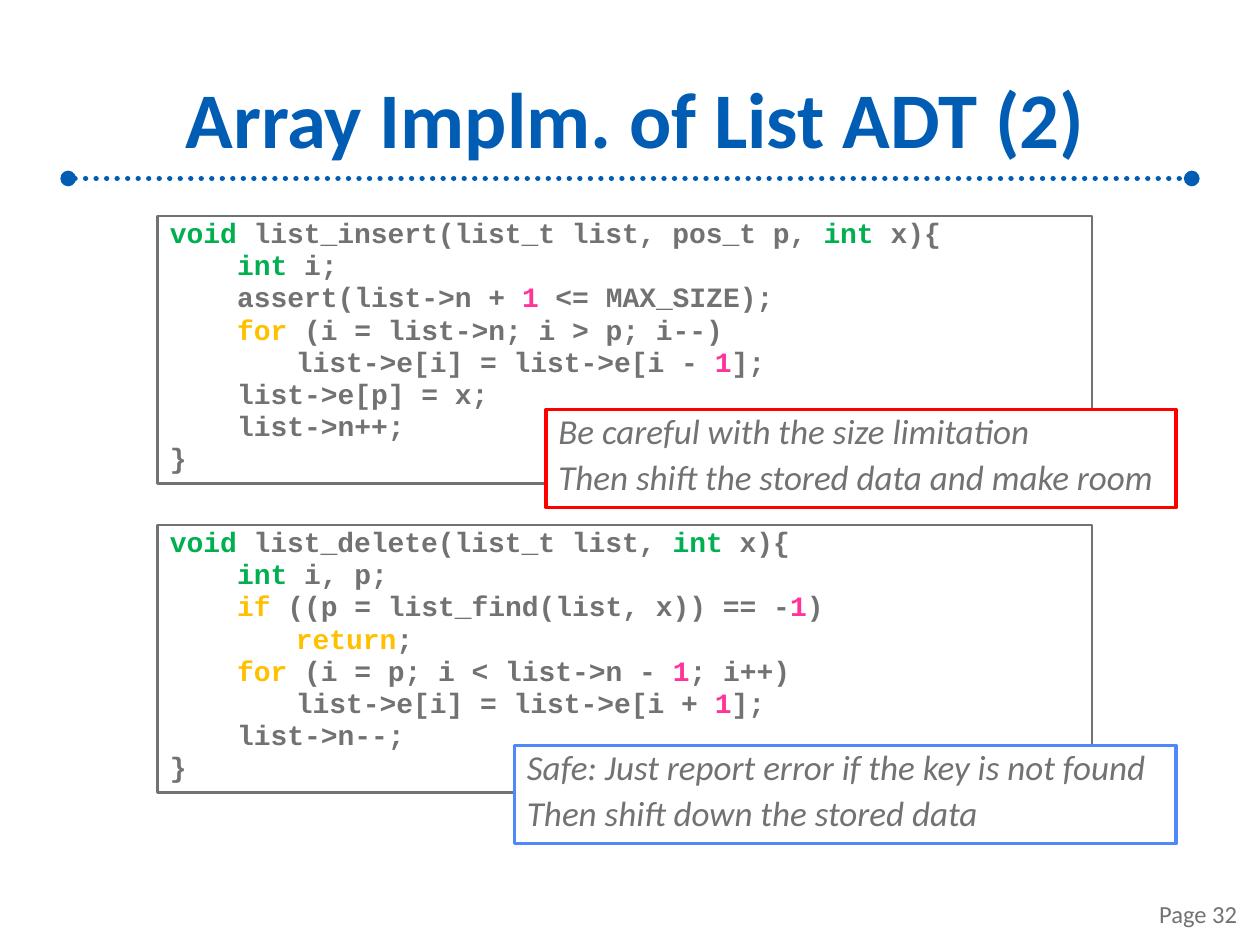
"""Builds a slide on inserting into and deleting from an array-based list."""
from lxml import etree
from pptx import Presentation
from pptx.dml.color import RGBColor
from pptx.enum.dml import MSO_LINE
from pptx.enum.shapes import MSO_CONNECTOR, MSO_SHAPE
from pptx.enum.text import MSO_ANCHOR, PP_ALIGN
from pptx.oxml.ns import qn
from pptx.util import Pt

RECT = MSO_SHAPE.RECTANGLE
STRAIGHT = MSO_CONNECTOR.STRAIGHT
DOTTED = MSO_LINE.ROUND_DOT
TOP, MIDDLE, BOTTOM = MSO_ANCHOR.TOP, MSO_ANCHOR.MIDDLE, MSO_ANCHOR.BOTTOM
LEFT, CENTER, RIGHT = PP_ALIGN.LEFT, PP_ALIGN.CENTER, PP_ALIGN.RIGHT

BLUE = RGBColor(0x00, 0x5D, 0xB3)
GRAY = RGBColor(0x72, 0x72, 0x72)
GREEN = RGBColor(0x00, 0xB0, 0x50)
AMBER = RGBColor(0xFF, 0xC0, 0x00)
PINK = RGBColor(0xFF, 0x33, 0x99)
RED = RGBColor(0xFF, 0x00, 0x00)
LIGHT_BLUE = RGBColor(0x51, 0x88, 0xF9)
WHITE = RGBColor(0xFF, 0xFF, 0xFF)

TITLE = "Array Implm. of List ADT (2)"
PAGE = "Page 32"
TOKEN_COLORS = {"void": GREEN, "int": GREEN, "for": AMBER, "if": AMBER,
                "return": AMBER, "1": PINK}
INDENTS = (0, 38.4, 72)
INSERT_CODE = [
    (0, "|void| list_insert(list_t list, pos_t p, |int| x){"),
    (1, "|int| i;"),
    (1, "assert(list->n + |1| <= MAX_SIZE);"),
    (1, "|for| (i = list->n; i > p; i--)"),
    (2, "list->e[i] = list->e[i - |1|];"),
    (1, "list->e[p] = x;"),
    (1, "list->n++;"),
    (0, "}"),
]
DELETE_CODE = [
    (0, "|void| list_delete(list_t list, |int| x){"),
    (1, "|int| i, p;"),
    (1, "|if| ((p = list_find(list, x)) == -|1|)"),
    (2, "|return|;"),
    (1, "|for| (i = p; i < list->n - |1|; i++)"),
    (2, "list->e[i] = list->e[i + |1|];"),
    (1, "list->n--;"),
    (0, "}"),
]
INSERT_NOTE = ["Be careful with the size limitation",
               "Then shift the stored data and make room"]
DELETE_NOTE = ["Safe: Just report error if the key is not found",
               "Then shift down the stored data"]
CODE_LEFT, CODE_W, CODE_H = 90, 534, 153
NOTE_RIGHT, NOTE_H = 672, 56
BLOCKS = [
    (INSERT_CODE, 123.4, INSERT_NOTE, 312, 234, RED),
    (DELETE_CODE, 300, DELETE_NOTE, 294, 426, LIGHT_BLUE),
]


def style(r, font, size, color, bold=False, italic=False):
    r.font.name, r.font.size = font, Pt(size)
    r.font.bold, r.font.italic = bold, italic
    r.font.color.rgb = color


def add_label(slide, text, box, align, anchor, size, color, bold=False):
    tf = slide.shapes.add_textbox(*map(Pt, box)).text_frame
    tf.word_wrap = True
    tf.vertical_anchor = anchor
    p = tf.paragraphs[0]
    p.text = text
    p.alignment = align
    style(p.runs[0], "Calibri", size, color, bold)


def add_rule(slide, x1, x2, y):
    line = slide.shapes.add_connector(STRAIGHT, Pt(x1), Pt(y), Pt(x2), Pt(y))
    line.line.color.rgb = BLUE
    line.line.width = Pt(3)
    line.line.dash_style = DOTTED
    ln = line.line._get_or_add_ln()
    ln.set("cap", "rnd")
    for end in ("a:headEnd", "a:tailEnd"):
        etree.SubElement(ln, qn(end), type="oval")
    etree.SubElement(line._element.spPr, qn("a:effectLst"))


def add_box(slide, box, line_color, width):
    sp = slide.shapes.add_shape(RECT, *map(Pt, box))
    sp.shadow.inherit = False
    sp.fill.solid()
    sp.fill.fore_color.rgb = WHITE
    sp.line.color.rgb = line_color
    sp.line.width = Pt(width)
    tf = sp.text_frame
    tf.word_wrap = True
    tf.vertical_anchor = TOP
    return tf


def add_paragraphs(tf, lines, spacing, before):
    tf.text = "\n".join(lines)
    for p in tf.paragraphs:
        p.alignment = LEFT
        p.line_spacing = spacing
        p.space_before = Pt(before)
    return tf.paragraphs


def add_code(slide, code, top):
    tf = add_box(slide, (CODE_LEFT, top, CODE_W, CODE_H), GRAY, 1.5)
    paragraphs = add_paragraphs(tf, [""] * len(code), 0.8, 3)
    for p, (level, line) in zip(paragraphs, code):
        p._p.get_or_add_pPr().set("marL", str(Pt(INDENTS[level])))
        for i, part in enumerate(line.split("|")):
            if part:
                r = p.add_run()
                r.text = part
                color = TOKEN_COLORS[part] if i % 2 else GRAY
                style(r, "Courier New", 16, color, bold=True)


def add_note(slide, lines, left, top, color):
    tf = add_box(slide, (left, top, NOTE_RIGHT - left, NOTE_H), color, 2)
    for p in add_paragraphs(tf, lines, 0.85, 6):
        style(p.runs[0], "Calibri", 20, GRAY, italic=True)


def main():
    prs = Presentation()
    prs.slide_width, prs.slide_height = Pt(720), Pt(540)
    slide = prs.slides.add_slide(prs.slide_layouts[6])
    add_rule(slide, 39, 681, 102)
    add_label(slide, TITLE, (48, 30.5, 630, 73), CENTER, MIDDLE, 45, BLUE, True)
    add_label(slide, PAGE, (546, 497, 168, 37), RIGHT, BOTTOM, 14, GRAY)
    for code, code_top, note, note_left, note_top, color in BLOCKS:
        add_code(slide, code, code_top)
        add_note(slide, note, note_left, note_top, color)
    prs.save("out.pptx")


if __name__ == "__main__":
    main()
